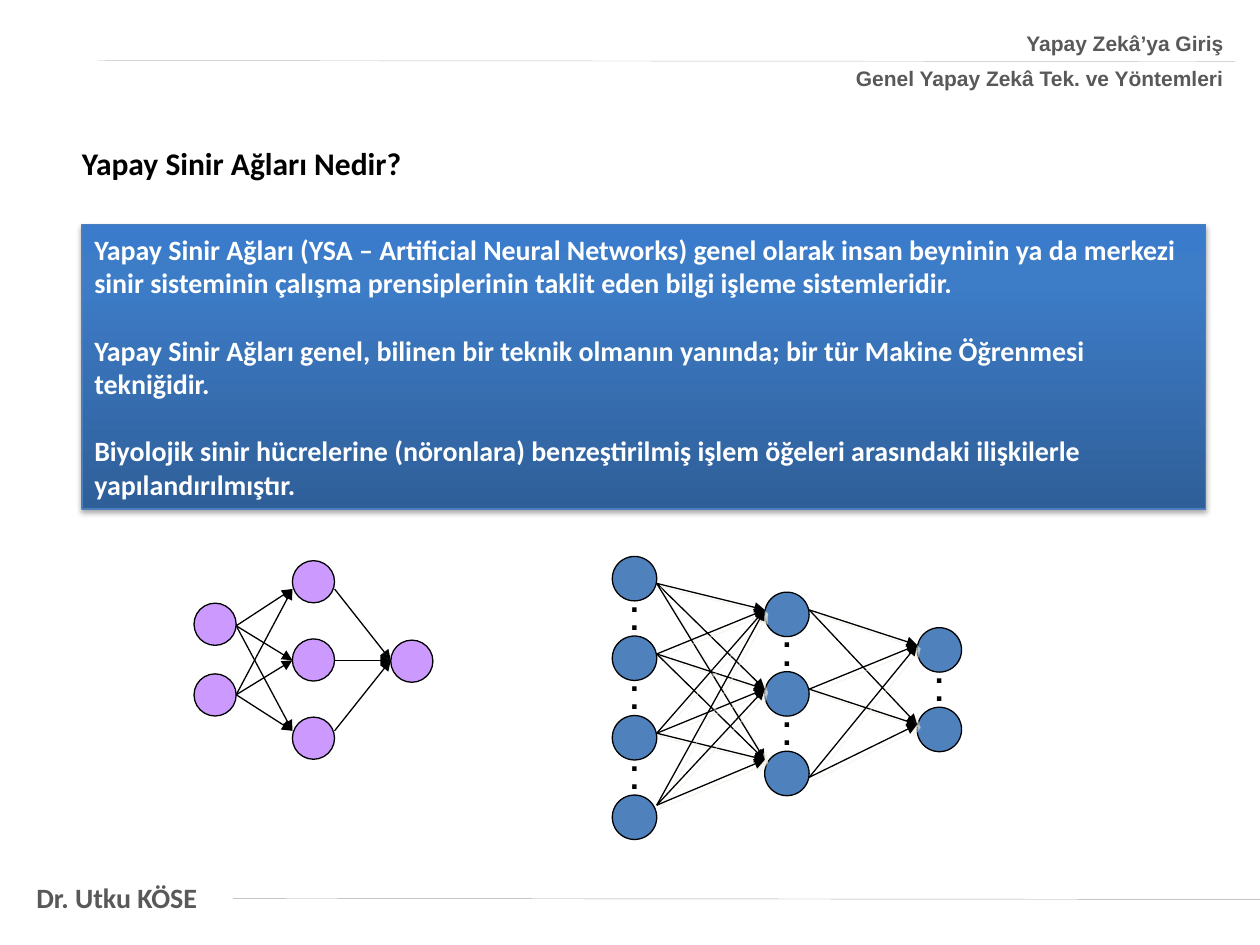
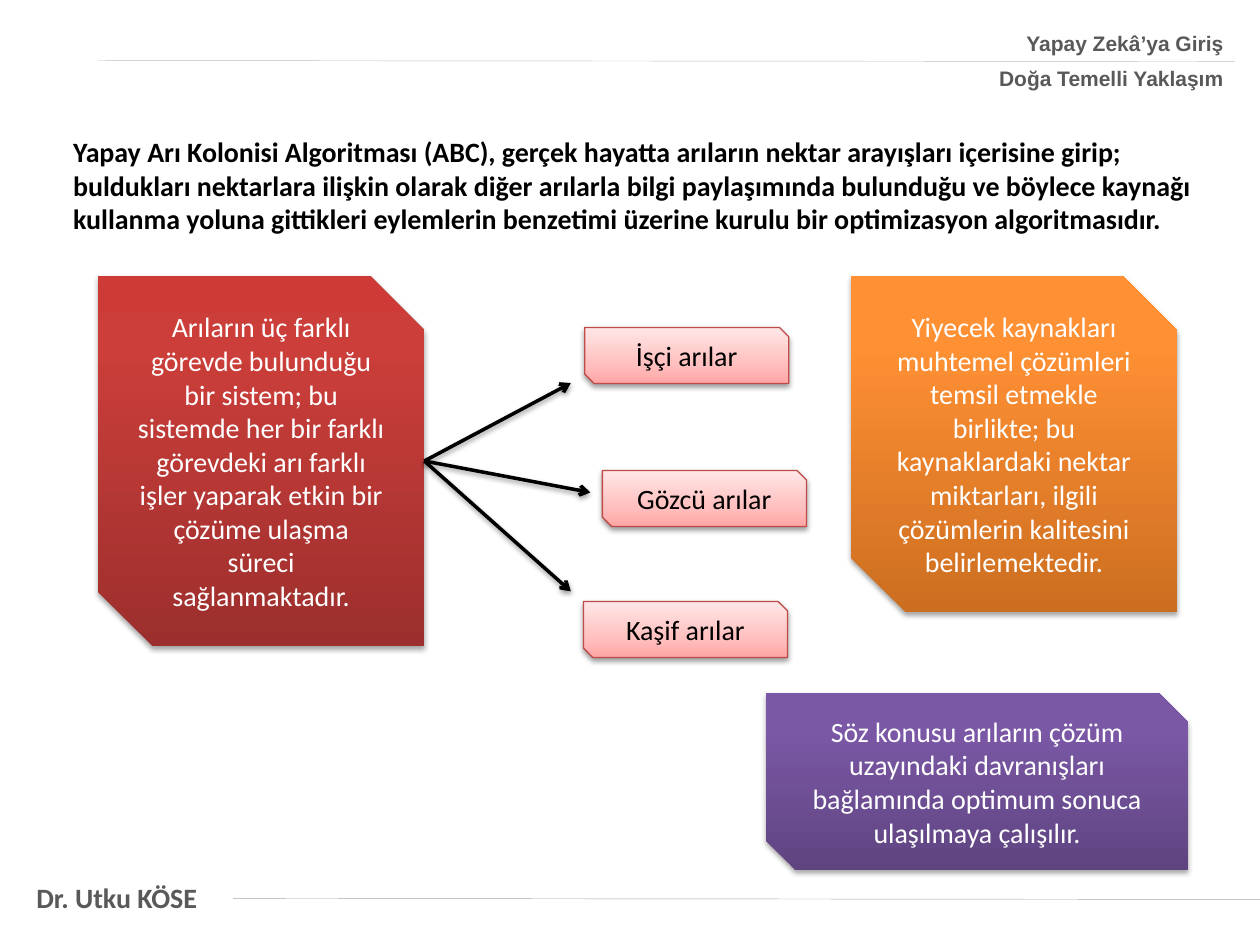
import pptx
import pptx.util
import pptx.dml.color
import pptx.enum.shapes
import pptx.enum.text
import pptx.oxml.ns
from lxml import etree

Pt = pptx.util.Pt
qn = pptx.oxml.ns.qn
KIND = pptx.enum.shapes.MSO_SHAPE
ALIGN = pptx.enum.text.PP_ALIGN
ANCHOR = pptx.enum.text.MSO_ANCHOR

BLACK, WHITE, GRAY = "000000", "FFFFFF", "595959"
COURSE = "Yapay Zekâ’ya Giriş"
AUTHOR = "Dr. Utku KÖSE"

# Gradient stops run from the bottom up: (percent, colour)
BLUE = [(0, "2F5F99"), (80, "3D7CC7"), (100, "3A7CCB")]
RED = [(0, "9C2F2D"), (80, "CB3E3A"), (100, "CE3B37")]
ORANGE = [(0, "CC6E20"), (80, "FF9034"), (100, "FF9136")]
PURPLE = [(0, "5F4480"), (80, "7B58A6"), (100, "7C57A8")]
PINK = [(0, "FFA6A5"), (35, "FFC0BF"), (100, "FFE7E7")]

# Shadows: colour, opacity, blur, distance, angle
DEEP = (BLACK, 35, 3.1, 1.8, 90)
SOFT = (BLACK, 38, 3.1, 1.6, 90)
PALE = ("EEECE1", 50, 0, 2.8, 45)

NEURAL = {
    "topic": "Genel Yapay Zekâ Tek. ve Yöntemleri",
    "title": ("Yapay Sinir Ağları Nedir?", 18, (39.6, 78.5, 334.8, 28.8)),
    "box": (46.8, 128.2, 642.2, 162.7),
    "groups": [
        ["Yapay Sinir Ağları (YSA – Artificial Neural Networks) genel olarak "
         "insan beyninin ya da merkezi",
         "sinir sisteminin çalışma prensiplerinin taklit eden bilgi işleme "
         "sistemleridir."],
        ["Yapay Sinir Ağları genel, bilinen bir teknik olmanın yanında; "
         "bir tür Makine Öğrenmesi tekniğidir."],
        ["Biyolojik sinir hücrelerine (nöronlara) benzeştirilmiş işlem "
         "öğeleri arasındaki ilişkilerle",
         "yapılandırılmıştır."],
    ],
}

# Each layer: first node top, node count, arrow ends coming in and going out
SMALL_NET = {
    "left": 110.9, "step": 56.2, "size": 24.1, "pitch": [40.4, 44.7, 0],
    "kind": KIND.FLOWCHART_CONNECTOR, "fill": "CC99FF",
    "shadow": None, "dots": False,
    "layers": [
        (344.7, 2, [], [357.6, 397]),
        (320.4, 3, [336.6, 377.3, 417.6], [336.6, 377.3, 417.6]),
        (365.8, 1, [377.3], []),
    ],
}
LARGE_NET = {
    "left": 349.9, "step": 87.1, "size": 25.4, "pitch": [45.45] * 3,
    "kind": KIND.OVAL, "fill": "4F81BD",
    "shadow": PALE, "dots": True,
    "layers": [
        (318, 4, [], [333.4, 373.7, 419, 460.1]),
        (338.4, 3, [348.5, 393.8, 434.2], [348.5, 393.8, 444.2]),
        (358.7, 2, [368.6, 414], []),
    ],
}

BEES = {
    "topic": "Doğa Temelli Yaklaşım",
    "title": (
        "Yapay Arı Kolonisi Algoritması (ABC), gerçek hayatta arıların nektar "
        "arayışları içerisine girip; buldukları nektarlara ilişkin olarak "
        "diğer arılarla bilgi paylaşımında bulunduğu ve böylece kaynağı "
        "kullanma yoluna gittikleri eylemlerin benzetimi üzerine kurulu bir "
        "optimizasyon algoritmasıdır.", 16, (34.6, 73.4, 663.1, 65.5)),
    "cards": [
        ("Arıların üç farklı görevde bulunduğu bir sistem; bu sistemde her "
         "bir farklı görevdeki arı farklı işler yaparak etkin bir çözüme "
         "ulaşma süreci sağlanmaktadır.", RED, (56, 157.7, 186.5, 211.5)),
        ("Yiyecek kaynakları muhtemel çözümleri temsil etmekle birlikte; bu "
         "kaynaklardaki nektar miktarları, ilgili çözümlerin kalitesini "
         "belirlemektedir.", ORANGE, (486.2, 157.7, 186.5, 192)),
        ("Söz konusu arıların çözüm uzayındaki davranışları bağlamında "
         "optimum sonuca ulaşılmaya çalışılır.", PURPLE,
         (437.7, 396, 241.3, 101.3)),
    ],
    # Label, left and top of its box, tip of its arrow
    "roles": [
        ("İşçi arılar", (334.1, 187.1), (326.2, 218.9)),
        ("Gözcü arılar", (344.2, 268.9), (337.4, 281.4)),
        ("Kaşif arılar", (333.4, 343.7), (326.2, 337.9)),
    ],
}


def color(code):
    return pptx.dml.color.RGBColor.from_string(code)


def child(node, tag, **attrs):
    return etree.SubElement(node, qn(tag), attrs)


def shade(shape, look=None):
    """Set the shadow, or none; call it after fill and line are set."""
    effects = child(shape._element.spPr, "a:effectLst")
    if look:
        code, alpha, blur, dist, angle = look
        outer = child(effects, "a:outerShdw", blurRad=str(Pt(blur)),
                      dist=str(Pt(dist)), dir=str(angle * 60000),
                      rotWithShape="0")
        tint = child(outer, "a:srgbClr", val=code)
        child(tint, "a:alpha", val=str(alpha * 1000))


def write(shape, lines, size, code, font="Calibri", bold=False, align=ALIGN.LEFT,
          anchor=ANCHOR.TOP, wrap=True, after=0):
    """Fill a shape with lines given as (text, space before)."""
    frame = shape.text_frame
    frame.auto_size = pptx.enum.text.MSO_AUTO_SIZE.NONE
    frame.word_wrap = wrap
    frame.vertical_anchor = anchor
    for i, (text, before) in enumerate(lines):
        para = frame.add_paragraph() if i else frame.paragraphs[0]
        para.alignment = align
        para.space_before, para.space_after = Pt(before), Pt(after)
        run = para.add_run()
        run.text = text
        run.font.name, run.font.size, run.font.bold = font, Pt(size), bold
        run.font.color.rgb = color(code)


def label(slide, box, lines, size, code, **style):
    text = slide.shapes.add_textbox(*map(Pt, box))
    write(text, lines, size, code, **style)


def panel(slide, kind, box, fill, edge=None, look=None):
    """Add a shape; fill is one colour or a list of gradient stops."""
    shape = slide.shapes.add_shape(kind, *map(Pt, box))
    if isinstance(fill, str):
        shape.fill.solid()
        shape.fill.fore_color.rgb = color(fill)
    else:
        shape.fill.gradient()
        shape.fill.gradient_angle = 90
        stops = shape._element.spPr.find(".//" + qn("a:gsLst"))
        stops.clear()
        for spot, code in fill:
            stop = child(stops, "a:gs", pos=str(spot * 1000))
            child(stop, "a:srgbClr", val=code)
    if edge:
        shape.line.color.rgb = color(edge)
        shape.line.width = Pt(0.75)
    else:
        shape.line.fill.background()
    shade(shape, look)
    return shape


def draw(slide, start, end, code, width, head=None, look=None):
    line = slide.shapes.add_connector(
        pptx.enum.shapes.MSO_CONNECTOR.STRAIGHT, *map(Pt, start + end))
    line.line.color.rgb = color(code)
    line.line.width = Pt(width)
    if head:
        child(line._element.spPr.find(qn("a:ln")), "a:tailEnd", type=head)
    shade(line, look)


def start_page(deck, page):
    """Add a slide with its title, header and footer."""
    slide = deck.slides.add_slide(deck.slide_layouts[5])
    label(slide, (13.7, 499.7, 108, 26.6), [(AUTHOR, 0)], 16, GRAY,
          bold=True, wrap=False)
    draw(slide, (133.2, 513.4), (720, 514), "A6A6A6", 0.25)
    draw(slide, (56, 34.6), (705.6, 35.2), "BFBFBF", 0.25)
    label(slide, (411.1, 13.7, 295.2, 42.5), [(COURSE, 0), (page["topic"], 0)],
          12, GRAY, font="Arial", bold=True, align=ALIGN.RIGHT, after=6)
    text, size, box = page["title"]
    title = slide.shapes.title
    title.left, title.top, title.width, title.height = map(Pt, box)
    write(title, [(text, 0)], size, BLACK, bold=True)
    return slide


def draw_net(slide, net):
    size, layers = net["size"], net["layers"]
    lefts = [net["left"] + i * net["step"] for i in range(len(layers))]
    tops = [[top + i * pitch for i in range(count)]
            for (top, count, _, _), pitch in zip(layers, net["pitch"])]
    for left, column in zip(lefts, tops):
        for top in column:
            panel(slide, net["kind"], (left, top, size, size), net["fill"], BLACK)
    for i in range(len(layers) - 1):
        for begin in layers[i][3]:
            for end in layers[i + 1][2]:
                draw(slide, (lefts[i] + size, begin), (lefts[i + 1], end),
                     BLACK, 0.75, "triangle", net["shadow"])
    if net["dots"]:
        for left, column in zip(lefts, tops):
            for top in column[:-1]:
                for drop in (10.3, 20.7):
                    label(slide, (left + size / 2 - 9.7, top + drop, 19.4, 28.8),
                          [(".", 0)], 18, BLACK, font="Arial", bold=True,
                          align=ALIGN.CENTER, wrap=False)


def neural_page(deck):
    slide = start_page(deck, NEURAL)
    box = panel(slide, KIND.RECTANGLE, NEURAL["box"], BLUE, "4B7EBC", DEEP)
    lines = [(text, 19.2 if g and not i else 0)
             for g, group in enumerate(NEURAL["groups"])
             for i, text in enumerate(group)]
    write(box, lines, 16, WHITE, bold=True, anchor=ANCHOR.MIDDLE)
    draw_net(slide, SMALL_NET)
    draw_net(slide, LARGE_NET)


def bees_page(deck):
    slide = start_page(deck, BEES)
    center = {"align": ALIGN.CENTER, "anchor": ANCHOR.MIDDLE}
    for text, fill, box in BEES["cards"]:
        card = panel(slide, KIND.SNIP_2_DIAG_RECTANGLE, box, fill, look=DEEP)
        write(card, [(text, 0)], 16, WHITE, **center)
    left, top, width, height = BEES["cards"][0][2]
    for text, spot, tip in BEES["roles"]:
        draw(slide, (left + width, top + height / 2), tip, BLACK, 2, "arrow", SOFT)
        role = panel(slide, KIND.SNIP_2_DIAG_RECTANGLE, spot + (116.6, 32),
                     PINK, "BF4C48", SOFT)
        write(role, [(text, 0)], 16, BLACK, **center)


def main():
    deck = pptx.Presentation()
    deck.slide_width, deck.slide_height = Pt(720), Pt(540)
    neural_page(deck)
    bees_page(deck)
    deck.save("out.pptx")


if __name__ == "__main__":
    main()
